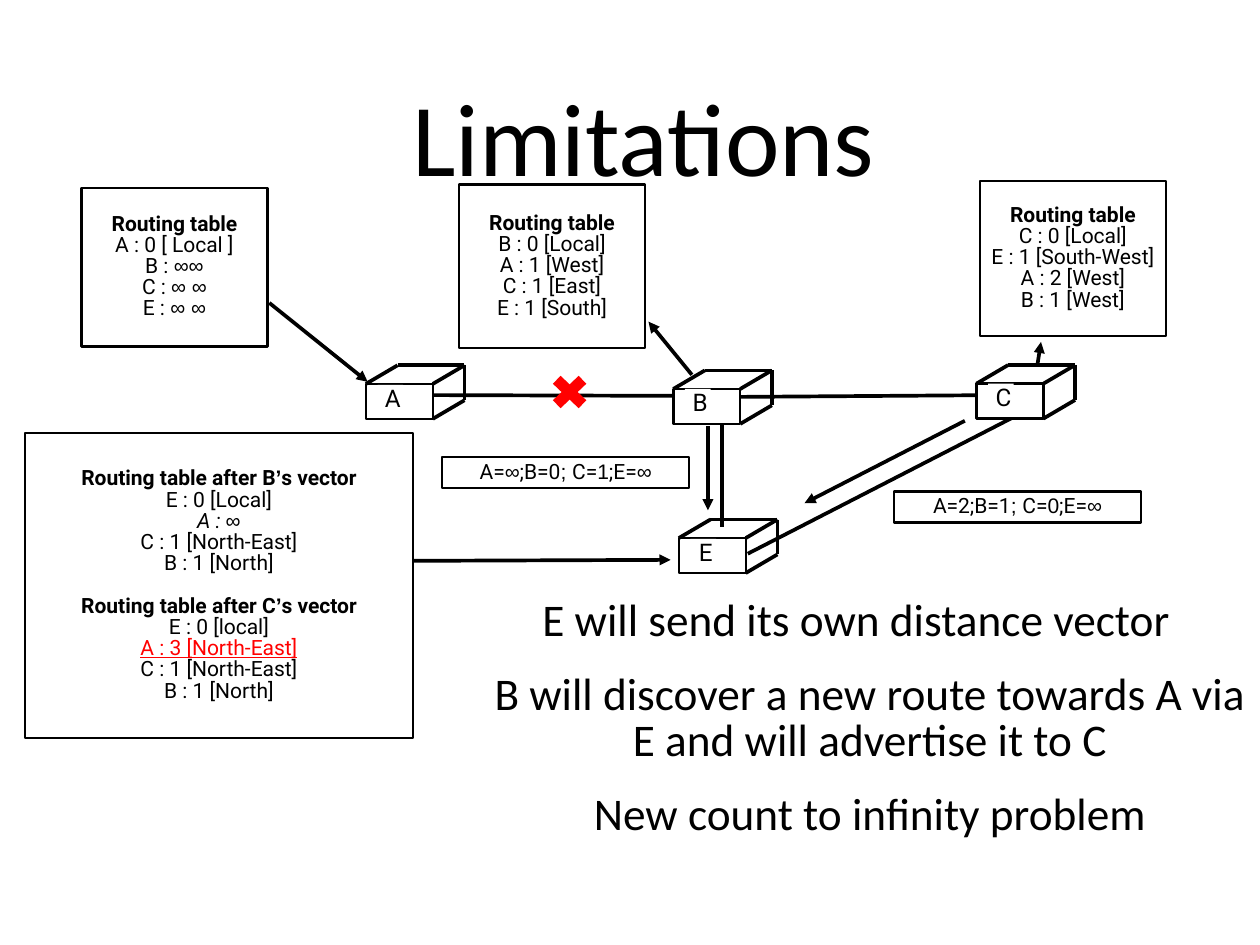
from lxml.etree import SubElement
from pptx import Presentation
from pptx.dml.color import RGBColor
from pptx.enum.shapes import MSO_CONNECTOR, MSO_SHAPE
from pptx.enum.text import MSO_ANCHOR, PP_ALIGN
from pptx.oxml.ns import qn
from pptx.util import Pt

COLORS = {"ink": "000000", "paper": "FFFFFF", "alert": "FF0000"}
STYLES = {
    "plain": {},
    "head": {"bold": True},
    "lost": {"italic": True},
    "new": {"underline": True},
}
SYMBOL = {"name": "Arial", "italic": False}

LINKS = [
    (347.8, 321.1, 576, 321.8),
    (586.8, 338.4, 586.8, 428.4),
    (607.7, 450, 822.2, 339.8),
    (596.9, 322.6, 812.2, 321.1),
]
ARROWS = [
    (218.9, 246.2, 298.8, 310.3),
    (562.3, 304.6, 527, 261.4),
    (843.1, 296.6, 846, 277.9),
    (575.3, 346.3, 575.3, 414.7),
    (784.1, 342, 653.8, 409),
    (335.5, 455.8, 545, 455),
]
ROUTERS = [
    ("A", 297.4, 312, 0.7),
    ("B", 547.2, 316.1, 0),
    ("C", 793.6, 311.8, 0),
    ("E", 551.7, 437.3, 0.7),
]
TABLES = [
    ((66.2, 152.6, 151.2, 128.9), [
        ("Routing table", "head"),
        ("A : 0 [ Local ]", "plain"),
        ("B : |∞∞", "plain"),
        ("C : |∞ ∞", "plain"),
        ("E : |∞ ∞", "plain"),
    ]),
    ((373, 149.8, 151.2, 133.2), [
        ("Routing table", "head"),
        ("B : 0 [Local]", "plain"),
        ("A : 1 [West]", "plain"),
        ("C : 1 [East]", "plain"),
        ("E : 1 [South]", "plain"),
    ]),
    ((796.3, 146.9, 151.2, 126), [
        ("Routing table", "head"),
        ("C : 0 [Local]", "plain"),
        ("E : 1 [South-West]", "plain"),
        ("A : 2 [West]", "plain"),
        ("B : 1 [West]", "plain"),
    ]),
    ((20.2, 352.1, 315.4, 247.7), [
        ("Routing table after B|’|s vector", "head"),
        ("E : 0 [Local]", "plain"),
        ("A : |∞", "lost"),
        ("C : 1 [North-East]", "plain"),
        ("B : 1 [North]", "plain"),
        ("Routing table after C|’|s vector", "head"),
        ("E : 0 [local]", "plain"),
        ("A : 3 [North-East]", "new"),
        ("C : 1 [North-East]", "plain"),
        ("B : 1 [North]", "plain"),
    ]),
    ((359.3, 371.5, 200.9, 25.2), [("A=|∞|;B=0|; |C=|1|;E=|∞", "plain")]),
    ((726.5, 399.6, 200.9, 25.2), [("A=2;B=1|; |C=|0|;E=|∞", "plain")]),
]
NOTES = [
    ("E will send its own distance vector", 49),
    ("B will discover a new route towards A via E and will advertise it to C", 71.3),
    ("New count to infinity problem", 71.3),
]


def color(name):
    return RGBColor.from_string(COLORS[name])


def set_attrs(obj, values):
    for key, value in values.items():
        setattr(obj, key, value)


def set_frame(tf, anchor, left=0, top=0, right=0, bottom=0):
    set_attrs(tf, {
        "word_wrap": True, "vertical_anchor": anchor,
        "margin_left": Pt(left), "margin_top": Pt(top),
        "margin_right": Pt(right), "margin_bottom": Pt(bottom),
    })


def add_para(tf, first, spacing=0.84, before=0):
    p = tf.paragraphs[0] if first else tf.add_paragraph()
    set_attrs(p, {"alignment": PP_ALIGN.CENTER, "line_spacing": spacing,
                  "space_before": Pt(0 if first else before)})
    return p


def add_run(p, text, size, font, ink="ink"):
    r = p.add_run()
    r.text = text
    set_attrs(r.font, {"size": Pt(size), **font})
    r.font.color.rgb = color(ink)


def add_box(s, kind, box, fill=None, line=None):
    sp = s.shapes.add_shape(kind, *map(Pt, box))
    sp.shadow.inherit = False
    if fill:
        sp.fill.solid()
        sp.fill.fore_color.rgb = color(fill)
    else:
        sp.fill.background()
    if line:
        sp.line.color.rgb = color(line)
        sp.line.width = Pt(2)
    else:
        sp.line.fill.background()
    return sp


def add_line(s, ends, arrow=False):
    cn = s.shapes.add_connector(MSO_CONNECTOR.STRAIGHT, *map(Pt, ends))
    cn.line.color.rgb = color("ink")
    cn.line.width = Pt(3)
    sp_pr = cn._element.spPr
    if arrow:
        SubElement(sp_pr.find(qn("a:ln")), qn("a:tailEnd"), type="triangle")
    SubElement(sp_pr, qn("a:effectLst"))


def add_router(s, letter, x, y, label_drop):
    w, h, dx, dy = 54.4, 28.4, 25.7, 15.1
    add_box(s, MSO_SHAPE.RECTANGLE, (x, y, w, h), "paper", "ink")
    for cx, cy in ((x, y), (x + w, y), (x + w, y + h)):
        add_line(s, (cx, cy, cx + dx, cy - dy))
    right, top = x + w + dx, y - dy
    add_line(s, (x + dx, top, right, top))
    add_line(s, (right, top, right, top + h))
    label = (x + 9.4, y + label_drop, 20.9, 25.2)
    tf = add_box(s, MSO_SHAPE.RECTANGLE, label, "paper").text_frame
    set_frame(tf, MSO_ANCHOR.MIDDLE, left=4)
    add_run(add_para(tf, True), letter, 19.7, {"name": "Roboto"})


def add_table_box(s, box, rows):
    tf = add_box(s, MSO_SHAPE.RECTANGLE, box, line="ink").text_frame
    set_frame(tf, MSO_ANCHOR.MIDDLE)
    for i, (text, style) in enumerate(rows):
        p = add_para(tf, i == 0, before=17.2 if style == "head" else 0)
        for j, piece in enumerate(text.split("|")):
            font = {"name": "Roboto", **STYLES[style], **(SYMBOL if j % 2 else {})}
            add_run(p, piece, 17.1, font, "alert" if style == "new" else "ink")


def add_title(s, text):
    tf = s.shapes.add_textbox(Pt(105.8), Pt(20.2), Pt(853.2), Pt(144)).text_frame
    set_frame(tf, MSO_ANCHOR.BOTTOM, 4.3, 4.3, 23.3, 4.3)
    add_run(add_para(tf, True, 1.0), text, 84, {"name": "Calibri"})


def add_notes(s, notes):
    tf = s.shapes.add_textbox(Pt(319), Pt(483.1), Pt(704.9), Pt(189.4)).text_frame
    set_frame(tf, MSO_ANCHOR.TOP, 4.3, 4.3, 4.3, 4.3)
    for i, (text, indent) in enumerate(notes):
        p = add_para(tf, i == 0, before=23.2)
        p._p.get_or_add_pPr().set("marL", str(Pt(indent)))
        add_run(p, text, 36.8, {"name": "Calibri"})


def main():
    prs = Presentation()
    set_attrs(prs, {"slide_width": Pt(1024), "slide_height": Pt(768)})
    s = prs.slides.add_slide(prs.slide_layouts[6])
    add_title(s, "Limitations")
    add_notes(s, NOTES)
    for ends in LINKS:
        add_line(s, ends)
    for router in ROUTERS:
        add_router(s, *router)
    for box, rows in TABLES:
        add_table_box(s, box, rows)
    for ends in ARROWS:
        add_line(s, ends, arrow=True)
    add_box(s, MSO_SHAPE.MATH_MULTIPLY, (442.8, 299.5, 40.3, 38.2), "alert")
    prs.save("out.pptx")


if __name__ == "__main__":
    main()
